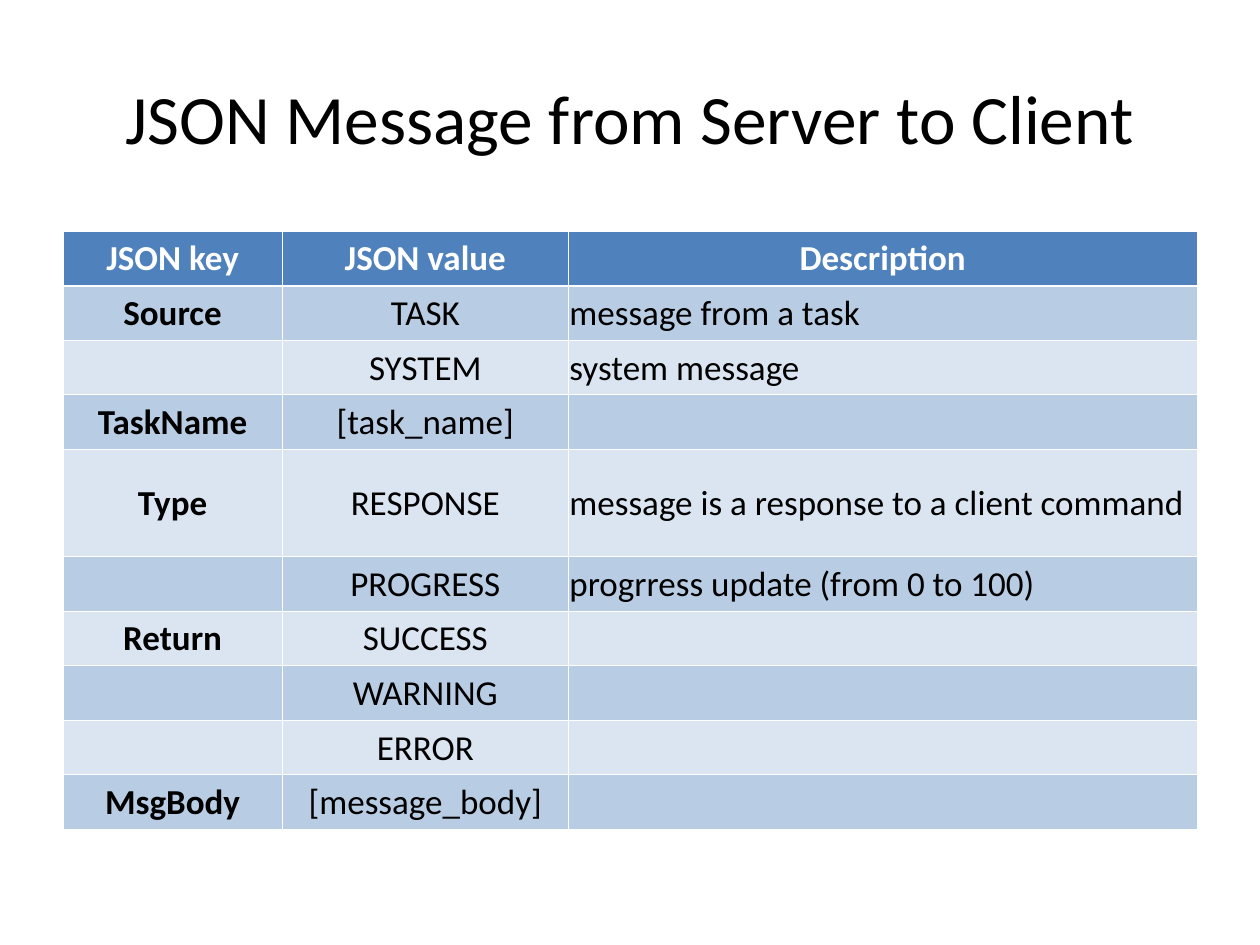
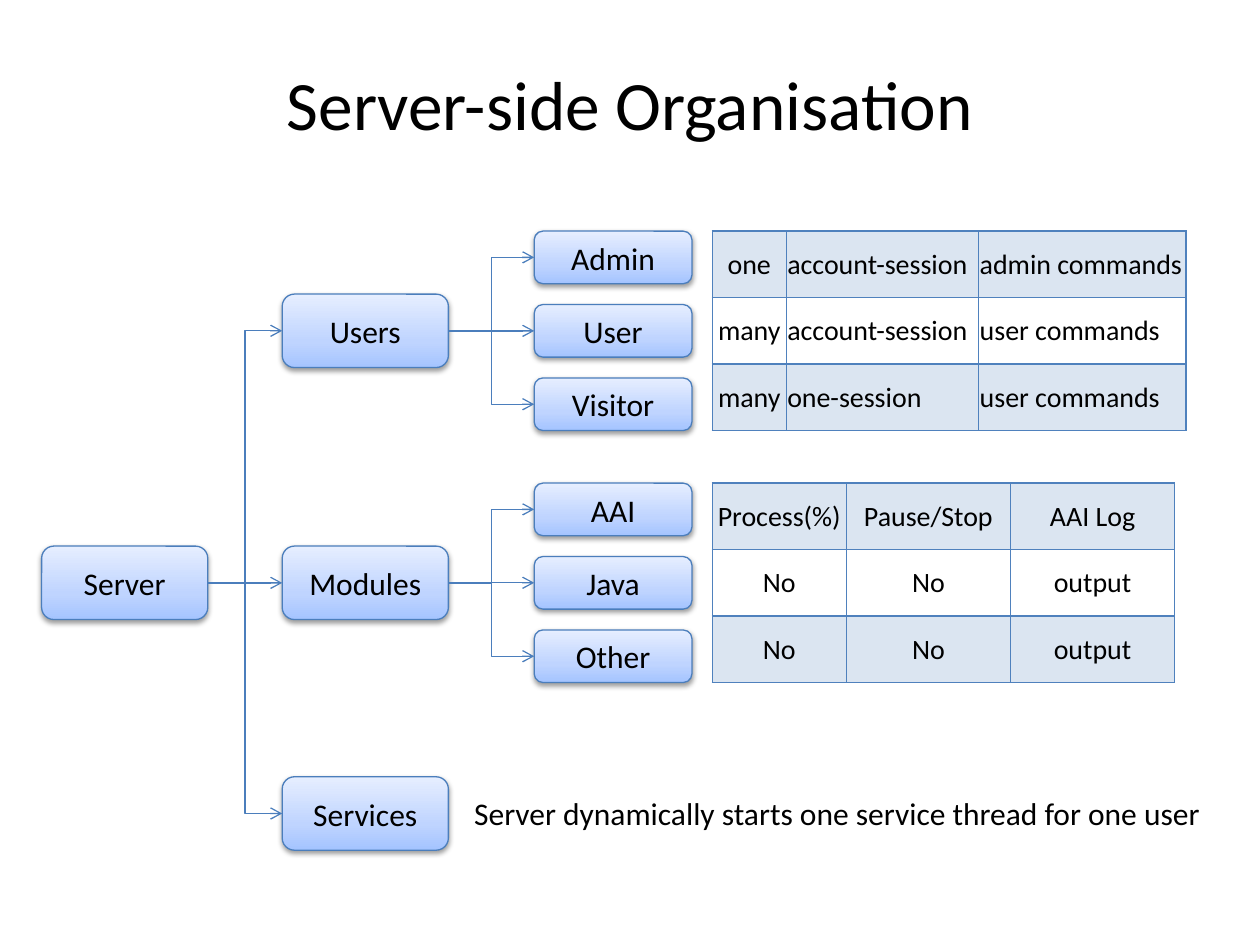
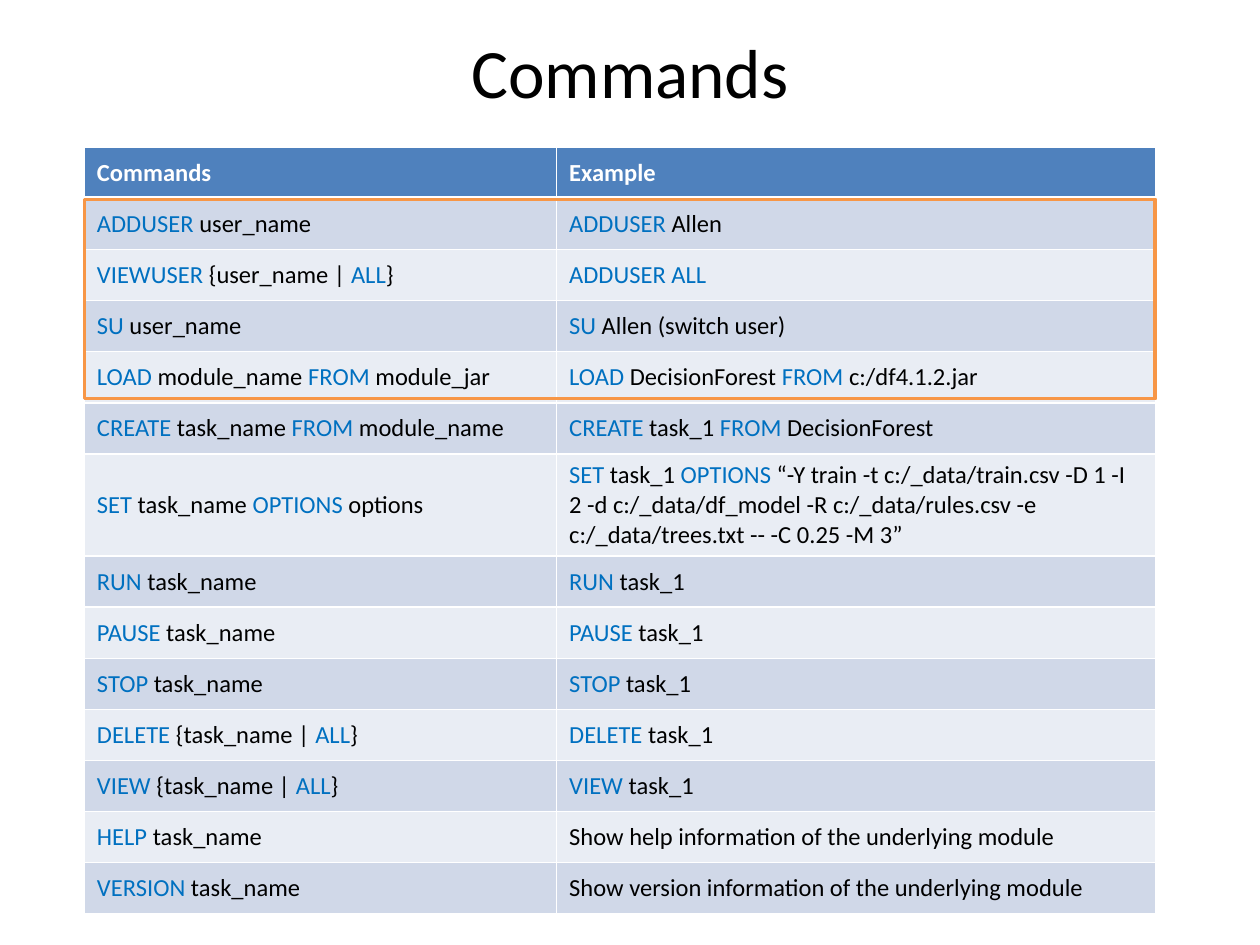
import copy
from dataclasses import dataclass
from typing import Optional

import pptx
import pptx.util
from pptx.dml.color import RGBColor
from pptx.enum.shapes import MSO_CONNECTOR, MSO_SHAPE
from pptx.enum.text import MSO_ANCHOR, MSO_AUTO_SIZE, PP_ALIGN
from pptx.oxml import parse_xml
from pptx.oxml.ns import nsdecls, qn
from pptx.util import Cm

# Shared colours and type
FONT = "Calibri"
BLACK = RGBColor(0x00, 0x00, 0x00)
WHITE = RGBColor(0xFF, 0xFF, 0xFF)
BLUE = RGBColor(0x4F, 0x81, 0xBD)
OUTLINE = RGBColor(0x4B, 0x7E, 0xBC)
KEYWORD = RGBColor(0x00, 0x70, 0xC0)
ORANGE = RGBColor(0xF7, 0x96, 0x46)
MESSAGE_BANDS = (RGBColor(0xB8, 0xCC, 0xE4), RGBColor(0xDB, 0xE5, 0xF1))
COMMAND_BANDS = (RGBColor(0xD0, 0xD8, 0xE8), RGBColor(0xE9, 0xED, 0xF4))
BOX_GRADIENT = (
    (0, RGBColor(0xA4, 0xC4, 0xFF)),
    (0.35, RGBColor(0xBF, 0xD4, 0xFF)),
    (1, RGBColor(0xE6, 0xEE, 0xFF)),
)
LEFT, CENTER = PP_ALIGN.LEFT, PP_ALIGN.CENTER
SITE_LEFT, SITE_RIGHT = 1, 3


@dataclass
class TableStyle:
    size: float
    bands: tuple
    border: RGBColor
    border_width: float
    header_rule: Optional[float] = None  # None means no header row
    bold_keys: bool = False
    tight: bool = True
    band_alpha: Optional[int] = None  # percent


MESSAGE_STYLE = TableStyle(20, MESSAGE_BANDS, WHITE, 0.5, header_rule=1.5, bold_keys=True)
DETAIL_STYLE = TableStyle(16, (BLUE, None), BLUE, 1, band_alpha=20)
COMMAND_STYLE = TableStyle(14, COMMAND_BANDS, WHITE, 1, header_rule=3, tight=False)


class Deck:
    def __init__(self):
        self.prs = pptx.Presentation()
        self.prs.slide_width, self.prs.slide_height = Cm(25.4), Cm(19.05)
        self.slide = None

    def add_text(self, paragraph, text, size, color=BLACK, bold=False, align=CENTER):
        """Add text run by run; parts between asterisks are keywords."""
        paragraph.alignment = align
        for index, part in enumerate(text.split("*")):
            if part:
                run = paragraph.add_run()
                run.text = part
                run.font.name = FONT
                run.font.size = pptx.util.Pt(size)
                run.font.bold = bold
                run.font.color.rgb = KEYWORD if index % 2 else color

    def new_slide(self, heading, top, height):
        self.slide = self.prs.slides.add_slide(self.prs.slide_layouts[5])
        title = self.slide.shapes.title
        title.left, title.top = Cm(1.27), Cm(top)
        title.width, title.height = Cm(22.86), Cm(height)
        frame = title.text_frame
        frame.auto_size = MSO_AUTO_SIZE.NONE
        frame.vertical_anchor = MSO_ANCHOR.MIDDLE
        self.add_text(frame.paragraphs[0], heading, 39.6)

    def box(self, text, left, top, width, height):
        box = self.slide.shapes.add_shape(
            MSO_SHAPE.ROUNDED_RECTANGLE, Cm(left), Cm(top), Cm(width), Cm(height))
        properties = box._element.spPr
        # Three-stop gradient running upwards
        box.fill.gradient()
        box.fill.gradient_angle = 90
        stops = properties.find(".//" + qn("a:gsLst"))
        stops.insert(1, copy.deepcopy(stops[0]))
        for stop, (position, color) in zip(box.fill.gradient_stops, BOX_GRADIENT):
            stop.position = position
            stop.color.rgb = color
        box.line.color.rgb = OUTLINE
        box.line.width = pptx.util.Pt(0.75)
        # Soft shadow below
        box.shadow.inherit = False
        properties.find(qn("a:effectLst")).append(parse_xml(
            f'<a:outerShdw {nsdecls("a")} blurRad="39370" dist="20320" dir="5400000" '
            'rotWithShape="0"><a:srgbClr val="000000"><a:alpha val="38000"/>'
            '</a:srgbClr></a:outerShdw>'))
        box.text_frame.vertical_anchor = MSO_ANCHOR.MIDDLE
        self.add_text(box.text_frame.paragraphs[0], text, 18)
        return box

    def arrow(self, parent, child):
        link = self.slide.shapes.add_connector(MSO_CONNECTOR.ELBOW, 0, 0, 0, 0)
        link.begin_connect(parent, SITE_RIGHT)
        link.end_connect(child, SITE_LEFT)
        link.line.color.rgb = OUTLINE
        link.line.width = pptx.util.Pt(0.75)
        properties = link._element.spPr
        properties.find(qn("a:ln")).append(
            parse_xml(f'<a:tailEnd {nsdecls("a")} type="arrow"/>'))
        properties.append(parse_xml(f'<a:effectLst {nsdecls("a")}/>'))

    def frame(self, left, top, width, height):
        frame = self.slide.shapes.add_shape(
            MSO_SHAPE.RECTANGLE, Cm(left), Cm(top), Cm(width), Cm(height))
        frame.fill.background()
        frame.line.color.rgb = ORANGE
        frame.line.width = pptx.util.Pt(2)
        frame.shadow.inherit = False

    def note(self, text, left, top, width, height):
        note = self.slide.shapes.add_textbox(Cm(left), Cm(top), Cm(width), Cm(height))
        note.text_frame.word_wrap = False
        note.text_frame.auto_size = MSO_AUTO_SIZE.SHAPE_TO_FIT_TEXT
        self.add_text(note.text_frame.paragraphs[0], text, 18, align=LEFT)

    def table(self, rows, left, top, widths, heights, aligns, style):
        table = self.slide.shapes.add_table(
            len(rows), len(widths), Cm(left), Cm(top),
            Cm(sum(widths)), Cm(sum(heights))).table
        has_header = style.header_rule is not None
        table.first_row, table.horz_banding = has_header, False
        for column, width in zip(table.columns, widths):
            column.width = Cm(width)
        for row, height in zip(table.rows, heights):
            row.height = Cm(height)
        for r, texts in enumerate(rows):
            is_header = has_header and r == 0
            fill = BLUE if is_header else style.bands[(r - has_header) % 2]
            for c, text in enumerate(texts):
                cell = table.cell(r, c)
                cell.vertical_anchor = MSO_ANCHOR.MIDDLE
                if style.tight:
                    cell.margin_left = cell.margin_right = cell.margin_top = Cm(0.02)
                    cell.margin_bottom = 0
                self.borders(cell, r, style)
                self.cell_fill(cell, fill, style)
                self.add_text(
                    cell.text_frame.paragraphs[0], text, style.size,
                    color=WHITE if is_header else BLACK,
                    bold=is_header or (style.bold_keys and c == 0),
                    align=CENTER if is_header and style.tight else aligns[c])

    def borders(self, cell, row, style):
        widths = dict.fromkeys("LRTB", style.border_width)
        if style.header_rule and row < 2:
            widths["B" if row == 0 else "T"] = style.header_rule
        for side, width in widths.items():
            cell._tc.get_or_add_tcPr().append(parse_xml(
                f'<a:ln{side} {nsdecls("a")} w="{pptx.util.Pt(width)}"><a:solidFill>'
                f'<a:srgbClr val="{style.border}"/></a:solidFill></a:ln{side}>'))

    def cell_fill(self, cell, color, style):
        if color is None:
            cell.fill.background()
            return
        cell.fill.solid()
        cell.fill.fore_color.rgb = color
        if style.band_alpha is not None:
            solid = cell._tc.tcPr.find(qn("a:solidFill"))
            solid[0].append(parse_xml(
                f'<a:alpha {nsdecls("a")} val="{style.band_alpha * 1000}"/>'))


def message_slide(deck):
    deck.new_slide("JSON Message from Server to Client", 0.76, 3.18)
    messages = [
        ("JSON key", "JSON value", "Description"),
        ("Source", "TASK", "message from a task"),
        ("", "SYSTEM", "system message"),
        ("TaskName", "[task_name]", ""),
        ("Type", "RESPONSE", "message is a response to a client command"),
        ("", "PROGRESS", "progrress update (from 0 to 100)"),
        ("Return", "SUCCESS", ""),
        ("", "WARNING", ""),
        ("", "ERROR", ""),
        ("MsgBody", "[message_body]", ""),
    ]
    heights = [2.16 if row[0] == "Type" else 1.1 for row in messages]
    deck.table(messages, 1.27, 4.66, (4.42, 5.77, 12.67), heights,
               (CENTER, CENTER, LEFT), MESSAGE_STYLE)


def organisation_slide(deck):
    deck.new_slide("Server-side Organisation", 1.4, 1.35)

    # Tree: server, branches, and leaves
    branches = [
        ("Users", 5.93, ("Admin", "User", "Visitor")),
        ("Modules", 11.01, ("AAI", "Java", "Other")),
        ("Services", 15.66, ()),
    ]
    branch_size, leaf_size = (3.35, 1.48), (3.18, 1.06)
    leaf_pitch = 1.48
    server = deck.box("Server", 0.84, 11.01, *branch_size)
    for name, top, leaves in branches:
        branch = deck.box(name, 5.69, top, *branch_size)
        deck.arrow(server, branch)
        middle = top + (branch_size[1] - leaf_size[1]) / 2
        for index, leaf_name in enumerate(leaves):
            leaf_top = middle + (index - 1) * leaf_pitch
            leaf = deck.box(leaf_name, 10.77, leaf_top, *leaf_size)
            deck.arrow(branch, leaf)

    # Details beside the leaves
    user_details = [
        ("one", "account-session", "admin commands"),
        ("many", "account-session", "user commands"),
        ("many", "one-session", "user commands"),
    ]
    module_details = [
        ("Process(%)", "Pause/Stop", "AAI Log"),
        ("No", "No", "output"),
        ("No", "No", "output"),
    ]
    heights = [1.34] * 3
    deck.table(user_details, 14.36, 4.66, (1.49, 3.88, 4.18), heights,
               (CENTER, LEFT, LEFT), DETAIL_STYLE)
    deck.table(module_details, 14.36, 9.74, (2.7, 3.31, 3.31), heights,
               (CENTER, CENTER, CENTER), DETAIL_STYLE)
    deck.note("Server dynamically starts one service thread for one user",
              9.31, 15.88, 15.16, 1.02)


def command_slide(deck):
    deck.new_slide("Commands", 0.76, 1.35)
    options = ("“-Y train -t c:/_data/train.csv -D 1 -I 2 -d c:/_data/df_model "
               "-R c:/_data/rules.csv -e c:/_data/trees.txt -- -C 0.25 -M 3”")
    commands = [
        ("Commands", "Example"),
        ("*ADDUSER* user_name", "*ADDUSER* Allen"),
        ("*VIEWUSER* {user_name | *ALL*}", "*ADDUSER ALL*"),
        ("*SU* user_name", "*SU* Allen (switch user)"),
        ("*LOAD* module_name *FROM* module_jar",
         "*LOAD* DecisionForest *FROM* c:/df4.1.2.jar"),
        ("*CREATE* task_name *FROM* module_name",
         "*CREATE* task_1 *FROM* DecisionForest"),
        ("*SET* task_name *OPTIONS* options", f"*SET* task_1 *OPTIONS* {options}"),
        ("*RUN* task_name", "*RUN* task_1"),
        ("*PAUSE* task_name", "*PAUSE* task_1"),
        ("*STOP* task_name", "*STOP* task_1"),
        ("*DELETE* {task_name | *ALL*}", "*DELETE* task_1"),
        ("*VIEW* {task_name | *ALL*}", "*VIEW* task_1"),
        ("*HELP* task_name", "Show help information of the underlying module"),
        ("*VERSION* task_name", "Show version information of the underlying module"),
    ]
    heights = [2.06 if options in row[1] else 1.03 for row in commands]
    deck.table(commands, 1.7, 2.97, (9.52, 12.07), heights, (LEFT, LEFT), COMMAND_STYLE)
    # Frame around the first four commands
    deck.frame(1.7, 4.02, 21.59, 4.02)


def main():
    deck = Deck()
    message_slide(deck)
    organisation_slide(deck)
    command_slide(deck)
    deck.prs.save("out.pptx")


if __name__ == "__main__":
    main()
